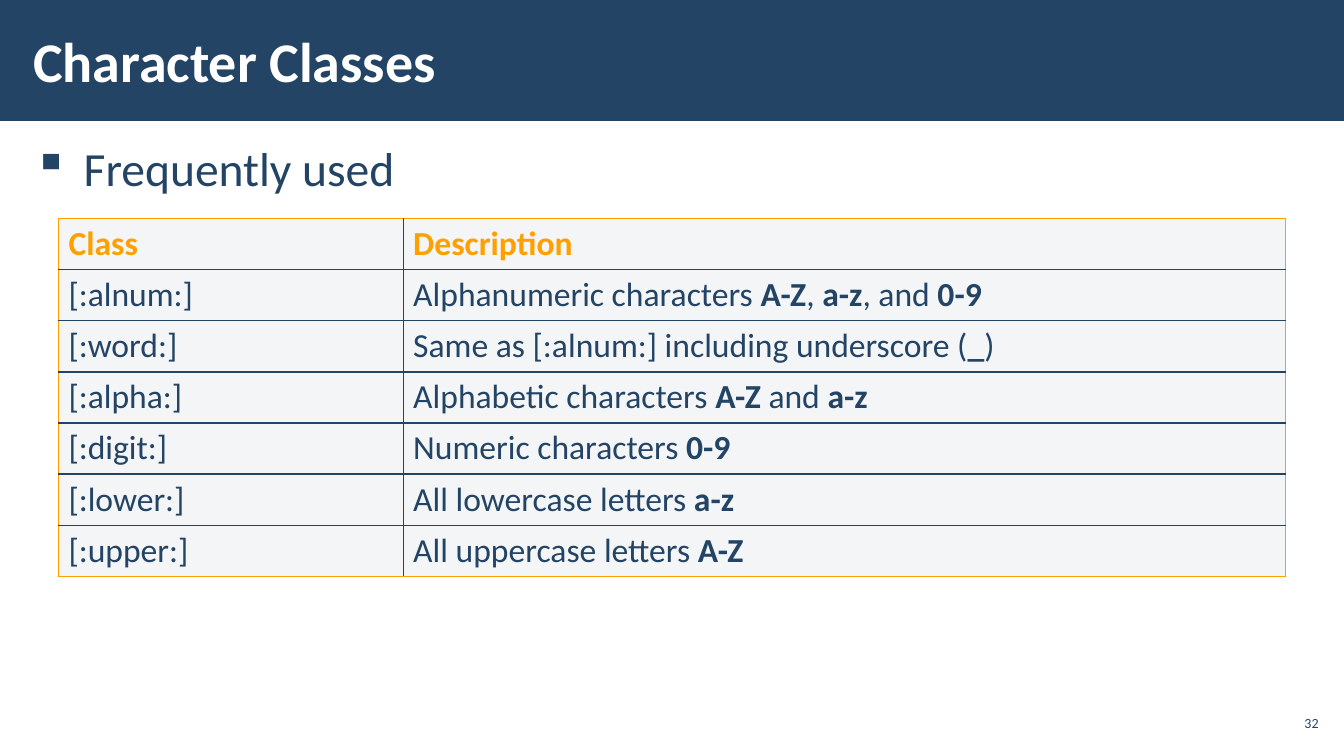
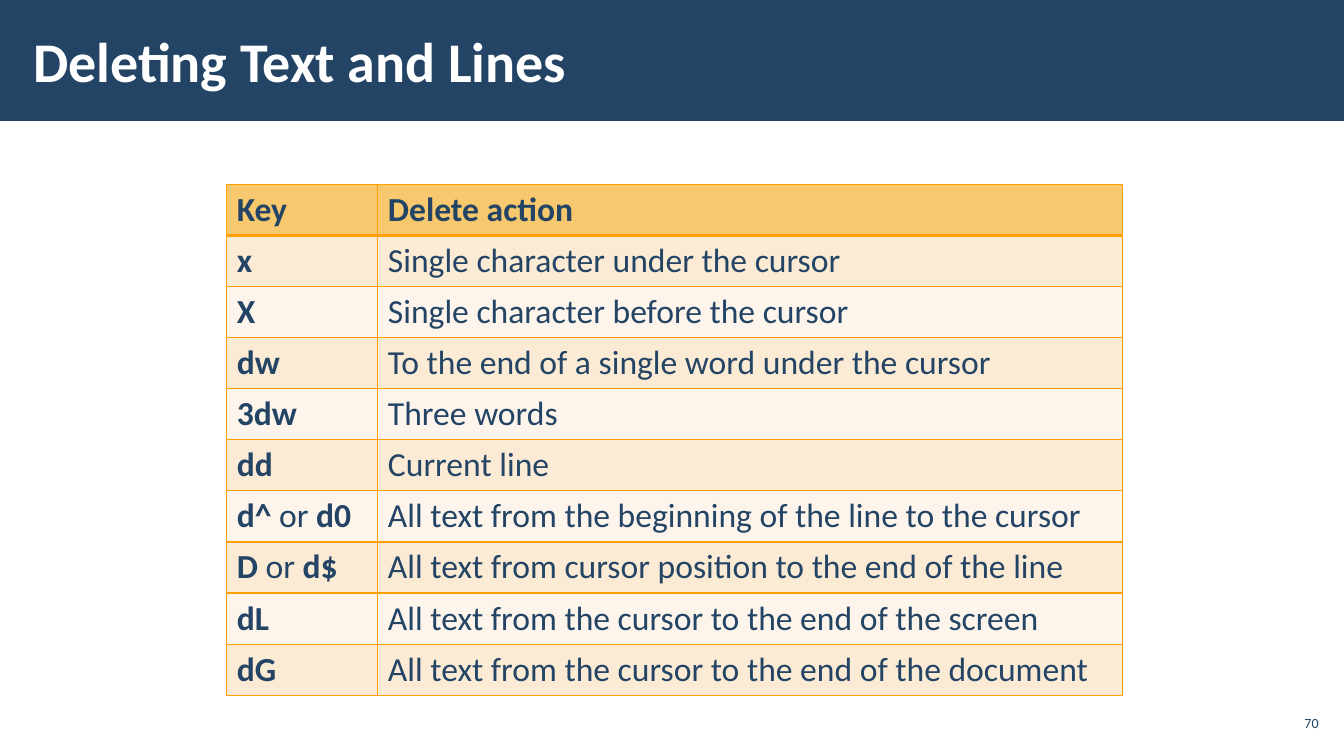
"""Builds two slides of shell and editor reference tables."""
from dataclasses import dataclass

from lxml import etree
from pptx import Presentation
from pptx import util as u
from pptx.dml.color import RGBColor
from pptx.enum import shapes, text
from pptx.oxml import ns

HUES = {
    "navy": "234465", "amber": "FFA000", "white": "FFFFFF", "mist": "F4F5F7",
    "gold": "F7C86D", "peach": "FCEBD4", "cream": "FDF5EB",
}
FONT = "Calibri"
WIDE, HIGH = u.Inches(13.333), u.Inches(7.5)
ROW = 6.76


@dataclass(frozen=True)
class Area:
    """A box in percent of the slide's width and height."""
    left: float
    top: float
    width: float
    height: float

    def emu(self) -> tuple[int, int, int, int]:
        """Gives left, top, width and height as slide lengths."""
        return (across(self.left), down(self.top),
                across(self.width), down(self.height))


@dataclass(frozen=True)
class Style:
    """The font size, colour, weight and inset of a text box."""
    size: int
    hue: str
    bold: bool = False
    inset: float = 0.12


@dataclass(frozen=True)
class Grid:
    """A table whose texts mark bold parts with asterisks."""
    left: float
    top: float
    cols: tuple[float, ...]
    rows: tuple[tuple[str, ...], ...]
    head: str
    ink: str
    bands: tuple[str, ...]
    inner: str
    rule: int = 1


@dataclass(frozen=True)
class Page:
    """One slide with its title, number, table and optional lead."""
    title: str
    number: str
    grid: Grid
    lead: str = ""


BAND = Area(0, 0, 100, 16)
TITLE = Area(1.58, 1.47, 77.93, 12.93)
LEAD = Area(1.58, 17.47, 96.9, 75.87)
NUMBER = Area(94.88, 93.33, 3.53, 4.53)

PAGES = (
    Page("Character Classes", "32", Grid(
        4.35, 28.93, (25.65, 65.63), (
            ("*Class*", "*Description*"),
            ("[:alnum:]", "Alphanumeric characters *A-Z*, *a-z*, and *0-9*"),
            ("[:word:]", "Same as [:alnum:] including underscore (*_*)"),
            ("[:alpha:]", "Alphabetic characters *A-Z* and *a-z*"),
            ("[:digit:]", "Numeric characters *0-9*"),
            ("[:lower:]", "All lowercase letters *a-z*"),
            ("[:upper:]", "All uppercase letters *A-Z*"),
        ), "mist", "amber", ("mist",), "navy"), "Frequently used"),
    Page("Deleting Text and Lines", "70", Grid(
        16.87, 24.4, (11.25, 55.43), (
            ("*Key*", "*Delete action*"),
            ("*x*", "Single character under the cursor"),
            ("*X*", "Single character before the cursor"),
            ("*dw*", "To the end of a single word under the cursor"),
            ("*3dw*", "Three words"),
            ("*dd*", "Current line"),
            ("*d^* or *d0*",
             "All text from the beginning of the line to the cursor"),
            ("*D* or *d$*",
             "All text from cursor position to the end of the line"),
            ("*dL*", "All text from the cursor to the end of the screen"),
            ("*dG*", "All text from the cursor to the end of the document"),
        ), "gold", "navy", ("peach", "cream"), "amber", 3)),
)


def across(share: float) -> int:
    """Turns a percentage of the slide's width into a length."""
    return round(WIDE * share / 100)


def down(share: float) -> int:
    """Turns a percentage of the slide's height into a length."""
    return round(HIGH * share / 100)


def tint(hue: str) -> RGBColor:
    """Looks up a named colour."""
    return RGBColor.from_string(HUES[hue])


def dress(run, size: int, hue: str, bold: bool) -> None:
    """Sets the font of a run."""
    run.font.name, run.font.size, run.font.bold = FONT, u.Pt(size), bold
    run.font.color.rgb = tint(hue)


def write(slide, area: Area, words: str, style: Style,
          anchor=text.MSO_ANCHOR.MIDDLE, align=text.PP_ALIGN.LEFT):
    """Adds a one-paragraph text box and returns the paragraph."""
    frame = slide.shapes.add_textbox(*area.emu()).text_frame
    frame.word_wrap, frame.vertical_anchor = True, anchor
    frame.margin_left = frame.margin_right = u.Inches(style.inset)
    frame.margin_top = frame.margin_bottom = u.Inches(0.04)
    frame.text = words
    para = frame.paragraphs[0]
    para.alignment = align
    dress(para.runs[0], style.size, style.hue, style.bold)
    return para


def bullet(para) -> None:
    """Gives a paragraph a hanging square bullet."""
    para.line_spacing, para.space_after = 1.05, u.Pt(6)
    props = para._p.get_or_add_pPr()
    props.set("marL", str(u.Inches(0.5)))
    props.set("indent", str(-u.Inches(0.5)))
    etree.SubElement(props, ns.qn("a:buChar"), char="▪")


def edge(cell, order: int, side: str, hue: str, width: int) -> None:
    """Draws one border of a cell."""
    line = etree.Element(ns.qn(f"a:ln{side}"), w=str(u.Pt(width)))
    fill = etree.SubElement(line, ns.qn("a:solidFill"))
    etree.SubElement(fill, ns.qn("a:srgbClr"), val=HUES[hue])
    cell._tc.get_or_add_tcPr().insert(order, line)


def fill_cell(cell, words: str, back: str, ink: str) -> None:
    """Fills a cell with colour and with plain and bold runs."""
    cell.fill.solid()
    cell.fill.fore_color.rgb = tint(back)
    para = cell.text_frame.paragraphs[0]
    for spot, part in enumerate(words.split("*")):
        if part:
            run = para.add_run()
            run.text = part
            dress(run, 24, ink, spot % 2 == 1)


def draw_grid(slide, grid: Grid) -> None:
    """Adds a table with an amber frame and inner rules."""
    tall, broad = len(grid.rows), len(grid.cols)
    area = Area(grid.left, grid.top, sum(grid.cols), ROW * tall)
    table = slide.shapes.add_table(tall, broad, *area.emu()).table
    table.first_row = table.horz_banding = False
    for col, share in zip(table.columns, grid.cols):
        col.width = across(share)
    for r, row in enumerate(grid.rows):
        table.rows[r].height = down(ROW)
        back = grid.bands[(r - 1) % len(grid.bands)] if r else grid.head
        for c, words in enumerate(row):
            cell = table.cell(r, c)
            fill_cell(cell, words, back, "navy" if r else grid.ink)
            sides = (("L", c == 0, 1), ("R", c == broad - 1, 1),
                     ("T", r == 0, grid.rule if r == 1 else 1),
                     ("B", r == tall - 1, grid.rule if r == 0 else 1))
            for order, (side, outer, width) in enumerate(sides):
                edge(cell, order, side,
                     "amber" if outer else grid.inner, width)


def draw_page(deck, page: Page) -> None:
    """Adds a slide with band, title, lead, number and table."""
    slide = deck.slides.add_slide(deck.slide_layouts[6])
    band = slide.shapes.add_shape(shapes.MSO_SHAPE.RECTANGLE, *BAND.emu())
    band.shadow.inherit = False
    band.fill.solid()
    band.fill.fore_color.rgb = tint("navy")
    band.line.fill.background()
    if page.lead:
        bullet(write(slide, LEAD, page.lead, Style(34, "navy"),
                     anchor=text.MSO_ANCHOR.TOP))
    write(slide, TITLE, page.title, Style(40, "white", True))
    write(slide, NUMBER, page.number, Style(10, "navy", inset=0.04),
          align=text.PP_ALIGN.RIGHT)
    draw_grid(slide, page.grid)


def main() -> None:
    """Builds and saves the deck."""
    deck = Presentation()
    deck.slide_width, deck.slide_height = WIDE, HIGH
    for page in PAGES:
        draw_page(deck, page)
    deck.save("out.pptx")


if __name__ == "__main__":
    main()
